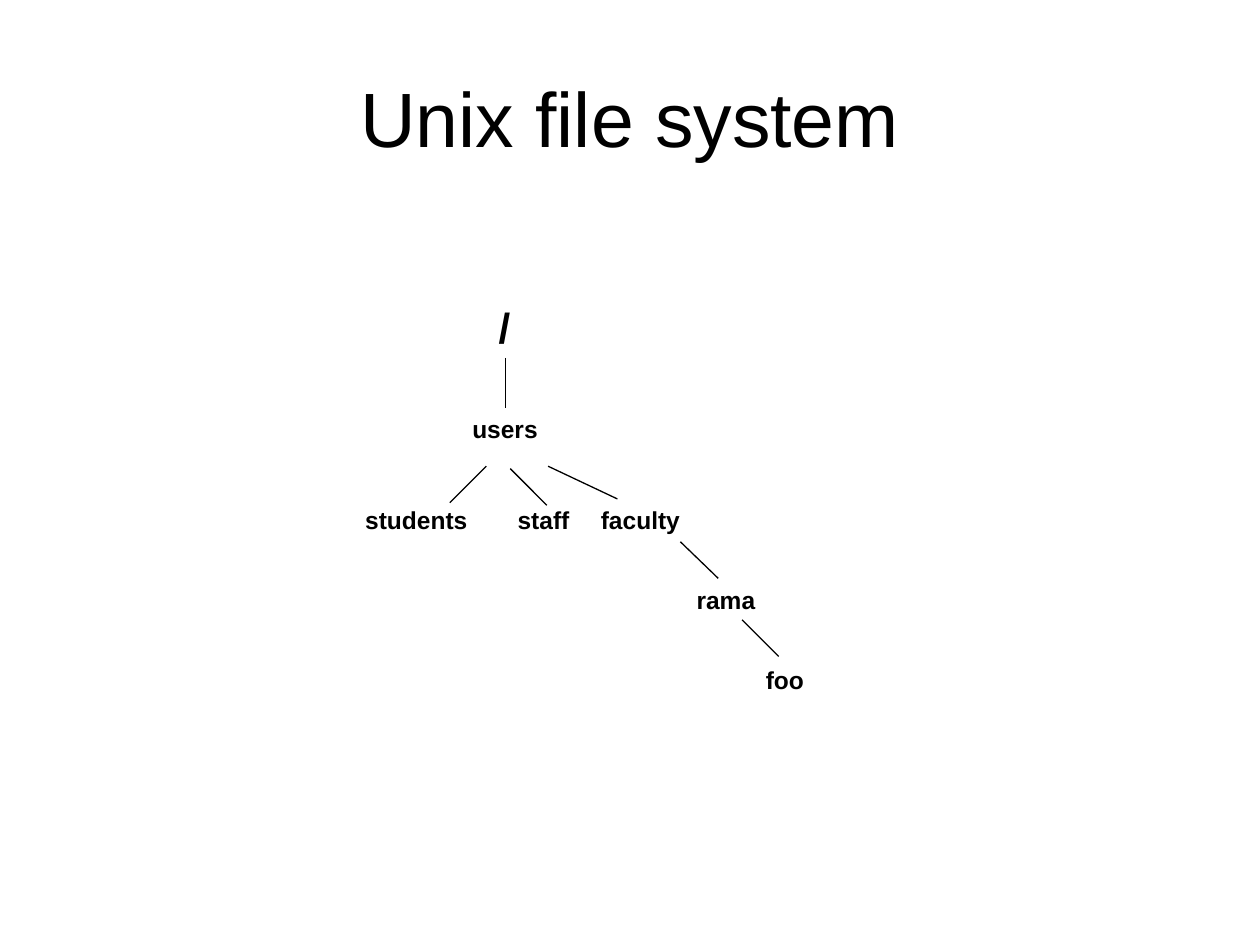
from lxml import etree
from pptx import Presentation
from pptx.dml.color import RGBColor
from pptx.enum.shapes import MSO_CONNECTOR
from pptx.enum.text import MSO_ANCHOR, MSO_AUTO_SIZE, PP_ALIGN
from pptx.oxml.ns import qn
from pptx.util import Inches, Pt

STRAIGHT = MSO_CONNECTOR.STRAIGHT
MIDDLE = MSO_ANCHOR.MIDDLE
FIT_SHAPE = MSO_AUTO_SIZE.SHAPE_TO_FIT_TEXT
CENTER = PP_ALIGN.CENTER

COLORS = {"ink": "000000", "paper": "FFFFFF"}
FONT = "Arial"
NAME_SIZE, NAME_HEIGHT = 14, 0.34
ROOT_SIZE, ROOT_HEIGHT = 24, 0.5

TITLE = "Unix file system"
ROOT = ("/", 3.86, 2.34, 0.29)
# Tree levels: top, then (name, left, width) of each directory
LEVELS = [
    (3.24, [("users", 3.65, 0.83)]),
    (3.96, [("students", 2.8, 1.06), ("staff", 4.01, 0.66), ("faculty", 4.67, 0.88)]),
    (4.59, [("rama", 5.43, 0.77)]),
    (5.23, [("foo", 5.98, 0.56)]),
]
# Branches from parent to child: x1, y1, x2, y2
BRANCHES = [
    (4.01, 2.84, 4.01, 3.24),
    (3.86, 3.7, 3.57, 3.99),
    (4.05, 3.72, 4.34, 4.01),
    (4.35, 3.7, 4.9, 3.96),
    (5.4, 4.3, 5.7, 4.59),
    (5.89, 4.92, 6.18, 5.21),
]


def color(name):
    return RGBColor.from_string(COLORS[name])


def add_text(paragraph, text, size, bold=False):
    run = paragraph.add_run()
    run.text = text
    run.font.name = FONT
    run.font.size = Pt(size)
    run.font.bold = bold
    run.font.color.rgb = color("ink")


def add_title(slide):
    title = slide.shapes.title
    title.left, title.top = Inches(0.5), Inches(0.3)
    title.width, title.height = Inches(9), Inches(1.25)
    title.text_frame.vertical_anchor = MIDDLE
    heading = title.text_frame.paragraphs[0]
    heading.alignment = CENTER
    add_text(heading, TITLE, 44)


def add_directory(slide, name, left, top, width, height, size):
    box = slide.shapes.add_textbox(Inches(left), Inches(top), Inches(width), Inches(height))
    box.text_frame.word_wrap = False
    box.text_frame.auto_size = FIT_SHAPE
    add_text(box.text_frame.paragraphs[0], name, size, bold=True)


def add_branch(slide, *ends):
    branch = slide.shapes.add_connector(STRAIGHT, *map(Inches, ends))
    branch.line.color.rgb = color("ink")
    branch.line.width = Pt(0.75)
    etree.SubElement(branch._element.spPr, qn("a:effectLst"))


def main():
    prs = Presentation()
    prs.slide_width, prs.slide_height = Inches(10), Inches(7.5)
    slide = prs.slides.add_slide(prs.slide_layouts.get_by_name("Title Only"))
    slide.background.fill.solid()
    slide.background.fill.fore_color.rgb = color("paper")

    add_title(slide)
    for ends in BRANCHES:
        add_branch(slide, *ends)
    add_directory(slide, *ROOT, ROOT_HEIGHT, ROOT_SIZE)
    for top, directories in LEVELS:
        for name, left, width in directories:
            add_directory(slide, name, left, top, width, NAME_HEIGHT, NAME_SIZE)

    prs.save("out.pptx")


if __name__ == "__main__":
    main()
